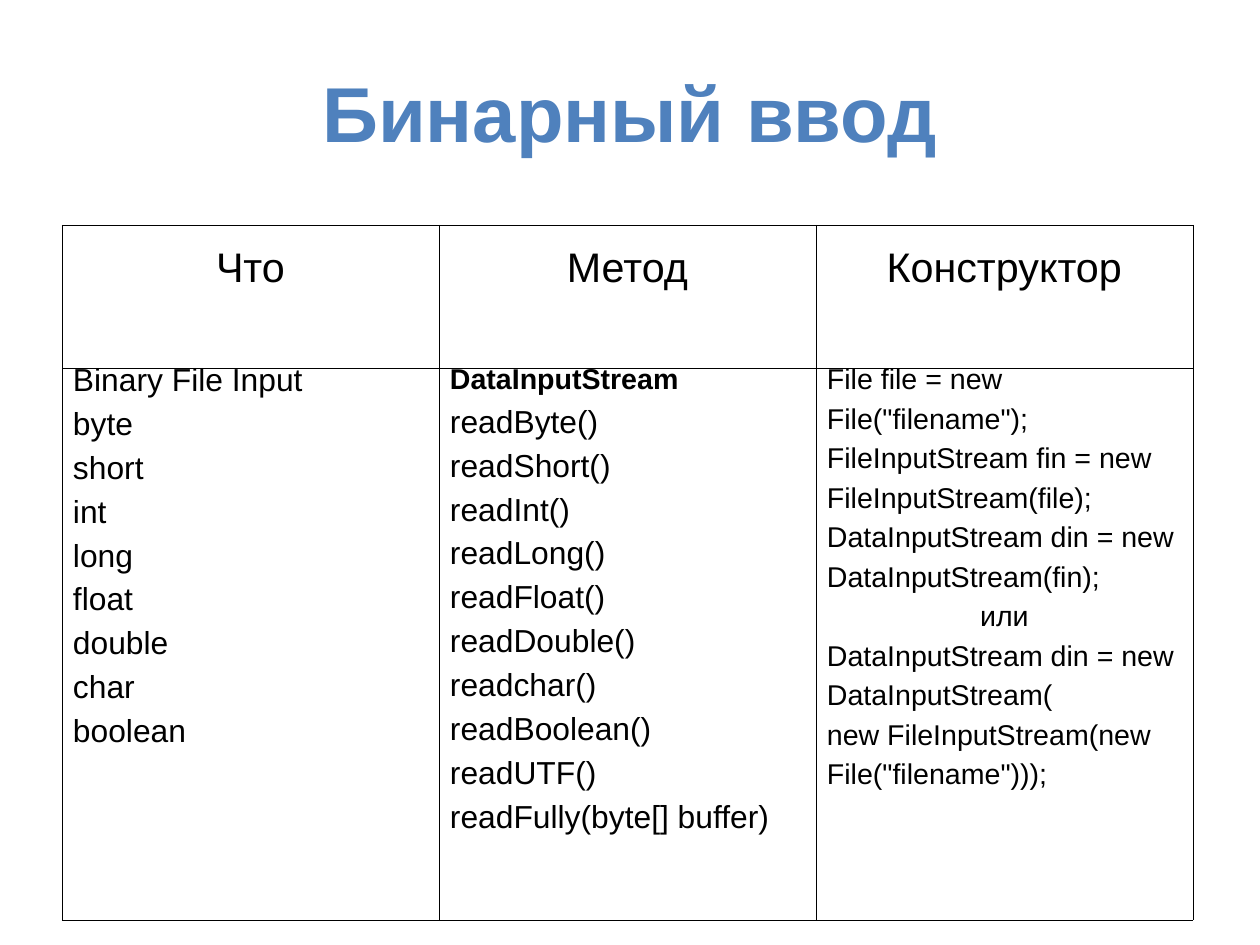
from dataclasses import dataclass

from lxml.etree import SubElement
from pptx import Presentation
from pptx.dml.color import RGBColor
from pptx.enum.text import MSO_ANCHOR, PP_ALIGN
from pptx.oxml.ns import qn
from pptx.util import Pt


@dataclass(frozen=True)
class Theme:
    font: str = "Arial"
    heading: str = "4F81BD"
    ink: str = "000000"
    title_size: int = 49
    header_size: int = 26
    type_size: int = 20
    code_size: int = 18
    title_leading: float = 0.93
    leading: float = 0.62
    gap_ratio: float = 0.69
    border: int = 762


theme = Theme()
PX = 8000


def write_line(paragraph, text, size, color=theme.ink, bold=False,
               align=PP_ALIGN.LEFT, leading=theme.leading):
    paragraph.alignment = align
    paragraph.line_spacing = leading
    run = paragraph.add_run()
    run.text = text
    run.font.name = theme.font
    run.font.size = Pt(size)
    run.font.bold = bold
    run.font.color.rgb = RGBColor.from_string(color)


def outline(cell):
    properties = cell._tc.get_or_add_tcPr()
    for side in ("a:lnL", "a:lnR", "a:lnT", "a:lnB"):
        edge = SubElement(properties, qn(side), w=str(theme.border))
        ink = SubElement(edge, qn("a:solidFill"))
        SubElement(ink, qn("a:srgbClr"), val=theme.ink)


presentation = Presentation()
presentation.slide_width = 1260 * PX
presentation.slide_height = 945 * PX
slide = presentation.slides.add_slide(presentation.slide_layouts[6])

title = slide.shapes.add_textbox(63 * PX, 38 * PX, 1133 * PX, 157 * PX).text_frame
title.word_wrap = True
title.vertical_anchor = MSO_ANCHOR.MIDDLE
title.margin_left = title.margin_right = title.margin_top = title.margin_bottom = 0
write_line(title.paragraphs[0], "Бинарный ввод", theme.title_size, theme.heading,
           True, PP_ALIGN.CENTER, theme.title_leading)

headers = ["Что", "Метод", "Конструктор"]
types = ["Binary File Input", "byte", "short", "int", "long", "float", "double",
         "char", "boolean"]
stream_class = "DataInputStream"
methods = [stream_class, "readByte()", "readShort()", "readInt()", "readLong()",
           "readFloat()", "readDouble()", "readchar()", "readBoolean()",
           "readUTF()", "readFully(byte[] buffer)"]
alternative = "или"
constructors = ["File file = new", 'File("filename");', "FileInputStream fin = new",
                "FileInputStream(file);", "DataInputStream din = new",
                "DataInputStream(fin);", alternative, "DataInputStream din = new",
                "DataInputStream(", "new FileInputStream(new", 'File("filename")));']
columns = [(types, theme.type_size), (methods, theme.type_size),
           (constructors, theme.code_size)]

column_width, header_height, body_height = 377, 143, 552
reference = slide.shapes.add_table(
    2, len(headers), 62 * PX, 225 * PX, len(headers) * column_width * PX,
    (header_height + body_height) * PX).table
reference.first_row = False
reference.horz_banding = False
reference.rows[0].height = header_height * PX
reference.rows[1].height = body_height * PX

for index, (header, (lines, size)) in enumerate(zip(headers, columns)):
    reference.columns[index].width = column_width * PX
    header_cell = reference.cell(0, index)
    body_cell = reference.cell(1, index)
    for cell in (header_cell, body_cell):
        outline(cell)
        cell.fill.background()
        cell.margin_left = cell.margin_right = 11 * PX
        cell.margin_top = cell.margin_bottom = 6 * PX

    header_cell.margin_top = 35 * PX
    write_line(header_cell.text_frame.paragraphs[0], header, theme.header_size,
               align=PP_ALIGN.CENTER)

    body = body_cell.text_frame
    for number, line in enumerate(lines):
        paragraph = body.add_paragraph() if number else body.paragraphs[0]
        if number:
            paragraph.space_before = Pt(round(size * theme.gap_ratio, 1))
        is_class = line == stream_class
        write_line(paragraph, line, theme.code_size if is_class else size,
                   bold=is_class,
                   align=PP_ALIGN.CENTER if line == alternative else PP_ALIGN.LEFT)

presentation.save("out.pptx")
